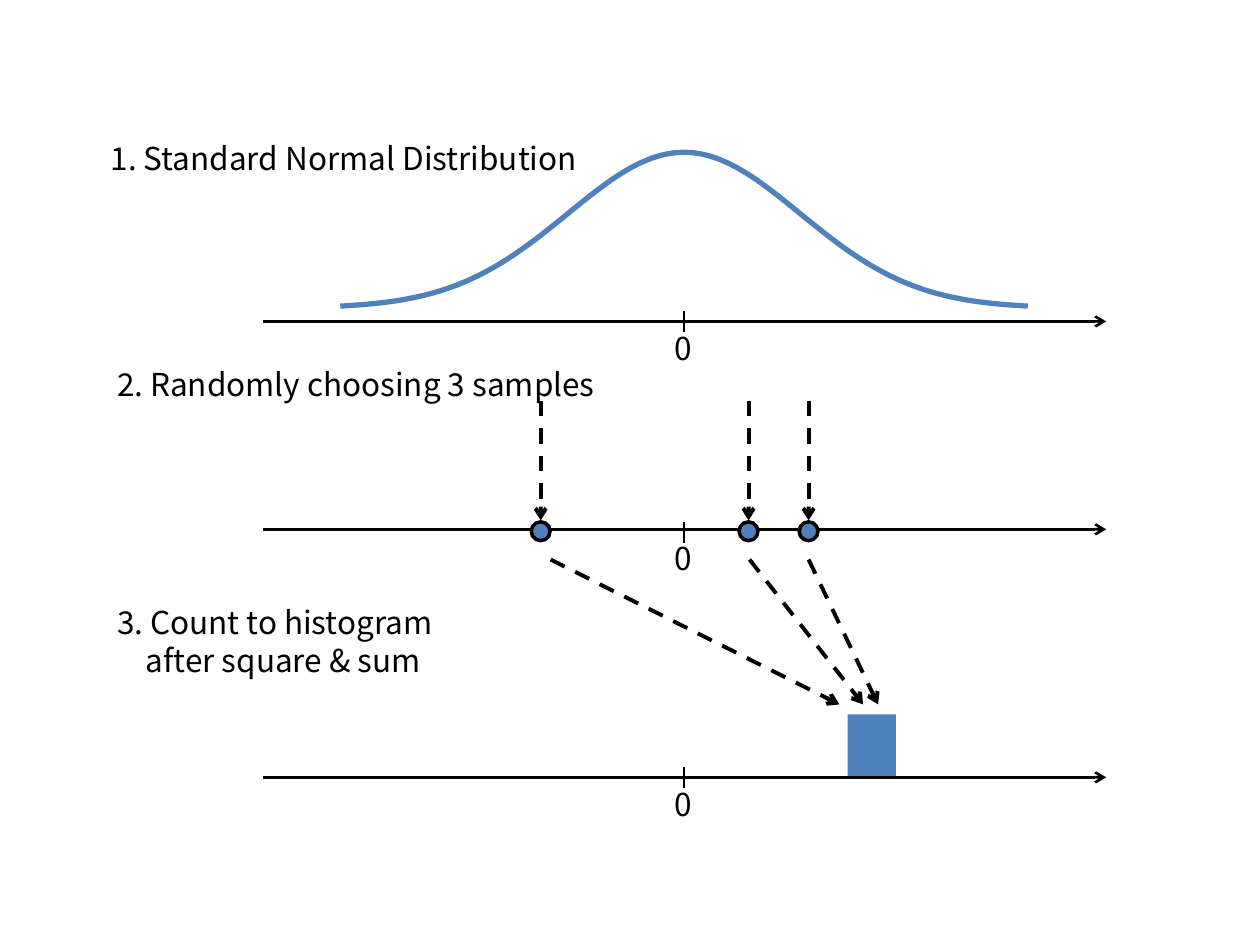
import math

from lxml import etree
from pptx import Presentation
from pptx.enum import dml, shapes, text
from pptx.dml.color import RGBColor
from pptx.oxml import ns
from pptx import util as u

COLORS = {"blue": "4F81BD", "black": "000000"}
FONT = "Noto Sans CJK KR"


def color(name):
    return RGBColor.from_string(COLORS[name])


def write_text(frame, content, size=18, ink="black", hanging=0):
    paragraph = frame.paragraphs[0]
    paragraph.text = content
    if hanging:
        properties = paragraph._p.get_or_add_pPr()
        properties.set("marL", str(u.Cm(hanging)))
        properties.set("indent", str(-u.Cm(hanging)))
    for run in paragraph.runs:
        run.font.name = FONT
        run.font.size = u.Pt(size)
        run.font.color.rgb = color(ink)


class Diagram:
    def __init__(self, slide, fill="blue", ink="black"):
        self.slide = slide
        self.fill = fill
        self.ink = ink

    def label(self, content, left, top, width, height=1.02, wrap=False, **style):
        box = self.slide.shapes.add_textbox(*map(u.Cm, (left, top, width, height)))
        frame = box.text_frame
        frame.word_wrap = wrap
        frame.auto_size = text.MSO_AUTO_SIZE.SHAPE_TO_FIT_TEXT
        write_text(frame, content, **style)

    def line(self, start, end, width, arrow=False, dashed=False):
        connector = self.slide.shapes.add_connector(
            shapes.MSO_CONNECTOR.STRAIGHT, *map(u.Cm, (*start, *end)))
        connector.line.color.rgb = color(self.ink)
        connector.line.width = u.Pt(width)
        if dashed:
            connector.line.dash_style = dml.MSO_LINE.DASH
        if arrow:
            outline = connector.line._get_or_add_ln()
            etree.SubElement(outline, ns.qn("a:tailEnd"), type="arrow")
        etree.SubElement(connector._element.spPr, ns.qn("a:effectLst"))

    def shape(self, kind, left, top, width, height, outline=0):
        shape = self.slide.shapes.add_shape(kind, *map(u.Cm, (left, top, width, height)))
        shape.shadow.inherit = False
        shape.fill.solid()
        shape.fill.fore_color.rgb = color(self.fill)
        if outline:
            shape.line.color.rgb = color(self.ink)
            shape.line.width = u.Pt(outline)
        else:
            shape.line.fill.background()

    def curve(self, points, width):
        start, *rest = [(u.Cm(x), u.Cm(y)) for x, y in points]
        builder = self.slide.shapes.build_freeform(*start)
        builder.add_line_segments(rest, close=False)
        shape = builder.convert_to_shape()
        shape.shadow.inherit = False
        shape.fill.background()
        shape.line.color.rgb = color(self.fill)
        shape.line.width = u.Pt(width)

    def axis(self, y, tick_top, center):
        self.line((5.31, y), (22.3, y), 1.5, arrow=True)
        self.line((center, tick_top), (center, tick_top + 0.42), 1)
        self.label("0", center - 0.45, tick_top + 0.23, 0.94)


def bell_points(center, base, height, sigma, count=100, step=0.14):
    offsets = [(i - (count - 1) / 2) * step for i in range(count)]
    return [(center + x, base - height * math.exp(-(x / sigma) ** 2 / 2)) for x in offsets]


def main():
    presentation = Presentation()
    presentation.slide_width, presentation.slide_height = u.Cm(25.4), u.Cm(19.05)
    slide = presentation.slides.add_slide(presentation.slide_layouts[6])
    diagram = Diagram(slide)
    center = 13.79

    diagram.shape(shapes.MSO_SHAPE.RECTANGLE, 17.09, 14.4, 0.97, 1.27)
    diagram.curve(bell_points(center, base=6.21, height=3.14, sigma=2.34), 3)
    for y, tick_top in ((6.48, 6.27), (10.67, 10.52), (15.67, 15.47)):
        diagram.axis(y, tick_top, center)

    diagram.label("1. Standard Normal Distribution", 1.98, 2.67, 10.31, wrap=True)
    diagram.label("2. Randomly choosing 3 samples", 2.11, 7.24, 10.16)
    diagram.label("3. Count to histogram\vafter square & sum", 2.11, 12.04, 6.99, 1.8,
                  hanging=0.58)

    dot = 0.38
    for x, start_x, end_x in ((10.9, 11.1, 16.92), (15.09, 15.11, 17.4), (16.3, 16.3, 17.7)):
        diagram.line((x, 8.08), (x, 10.49), 2.25, arrow=True, dashed=True)
        diagram.shape(shapes.MSO_SHAPE.OVAL, x - dot / 2, 10.52, dot, dot, outline=2)
        diagram.line((start_x, 11.28), (end_x, 14.2), 2.25, arrow=True, dashed=True)

    presentation.save("out.pptx")


if __name__ == "__main__":
    main()
